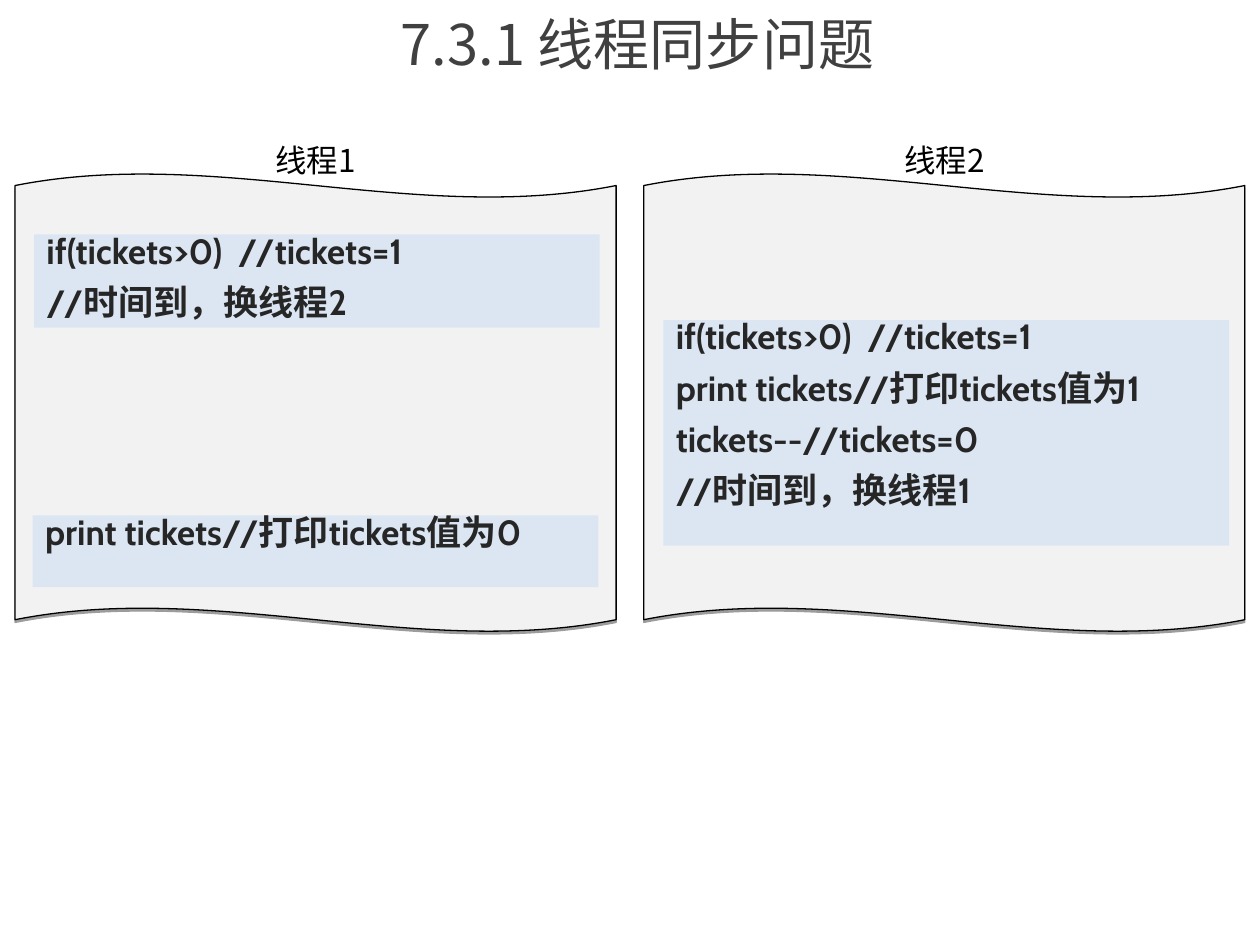
from dataclasses import dataclass

from lxml import etree
from pptx import Presentation
from pptx.dml.color import RGBColor
from pptx.enum.shapes import MSO_SHAPE
from pptx.enum.text import MSO_ANCHOR, PP_ALIGN
from pptx.oxml.ns import qn
from pptx.util import Inches, Pt

WAVE, RECT = MSO_SHAPE.WAVE, MSO_SHAPE.RECTANGLE
LEFT, CENTER = PP_ALIGN.LEFT, PP_ALIGN.CENTER
TOP, MIDDLE = MSO_ANCHOR.TOP, MSO_ANCHOR.MIDDLE
COLS, ROWS = 100, 75


@dataclass(frozen=True)
class Theme:
    title: str = "404040"
    label: str = "000000"
    code: str = "262626"
    panel: str = "F2F2F2"
    block: str = "DCE6F2"
    head_size: int = 32
    label_size: int = 18
    code_size: int = 20
    sans: str = "Noto Sans CJK SC"
    latin: str = "Cabin"


class Deck:
    def __init__(self, theme):
        self.theme = theme
        self.prs = Presentation()
        self.prs.slide_width, self.prs.slide_height = Inches(10), Inches(7.5)
        self.slide = self.prs.slides.add_slide(self.prs.slide_layouts[6])

    def place(self, col, row, wide, high):
        x, y = self.prs.slide_width / COLS, self.prs.slide_height / ROWS
        return [round(n) for n in (col * x, row * y, wide * x, high * y)]

    def shade(self, props, dist, angle, alpha):
        old = props.find(qn("a:effectLst"))
        if old is not None:
            props.remove(old)
        effects = etree.Element(qn("a:effectLst"))
        shadow = etree.SubElement(effects, qn("a:outerShdw"), blurRad="0",
                                  dist=str(Pt(dist)), dir=str(angle * 60000),
                                  algn="tl", rotWithShape="0")
        color = etree.SubElement(shadow, qn("a:srgbClr"), val="000000")
        etree.SubElement(color, qn("a:alpha"), val=str(alpha * 1000))
        font = props.find(qn("a:latin"))
        if font is None:
            props.append(effects)
        else:
            font.addprevious(effects)

    def fill_text(self, frame, lines, size, color, font, align, anchor, bold=False):
        frame.word_wrap = True
        frame.vertical_anchor = anchor
        frame.text = "\n".join(lines)
        for para in frame.paragraphs:
            para.alignment = align
            for run in para.runs:
                run.font.size = Pt(size)
                run.font.bold = bold
                run.font.color.rgb = RGBColor.from_string(color)
                run.font.name = font
                east = etree.Element(qn("a:ea"), typeface=self.theme.sans)
                run._r.get_or_add_rPr().find(qn("a:latin")).addnext(east)

    def text(self, area, words, size, color, anchor):
        frame = self.slide.shapes.add_textbox(*self.place(*area)).text_frame
        self.fill_text(frame, [words], size, color, self.theme.sans, CENTER, anchor)
        return frame

    def title(self, area, words):
        frame = self.text(area, words, self.theme.head_size, self.theme.title, MIDDLE)
        for run in frame.paragraphs[0].runs:
            self.shade(run._r.get_or_add_rPr(), 2, 45, 38)

    def label(self, area, words):
        self.text(area, words, self.theme.label_size, self.theme.label, TOP)

    def shape(self, kind, area, fill):
        shape = self.slide.shapes.add_shape(kind, *self.place(*area))
        shape.shadow.inherit = False
        shape.fill.solid()
        shape.fill.fore_color.rgb = RGBColor.from_string(fill)
        return shape

    def panel(self, area):
        wave = self.shape(WAVE, area, self.theme.panel)
        wave.adjustments[0] = 0.026
        wave.line.color.rgb = RGBColor.from_string(self.theme.label)
        wave.line.width = Pt(0.75)
        self.shade(wave._element.spPr, 1.6, 90, 38)

    def code(self, area, lines):
        block = self.shape(RECT, area, self.theme.block)
        block.line.fill.background()
        self.fill_text(block.text_frame, lines, self.theme.code_size, self.theme.code,
                       self.theme.latin, LEFT, TOP, True)
        for i, para in enumerate(block.text_frame.paragraphs):
            para.line_spacing = 0.7
            para.space_before = Pt(12.5 if i else 0)


def main():
    deck = Deck(Theme())
    deck.title((7.2, 0, 86.8, 6.8), "7.3.1 线程同步问题")
    check = "if(tickets>0)  //tickets=1"
    threads = [
        ("线程1", [
            (1.5, 18.6, 7.4, [check, "//时间到，换线程2"]),
            (1.4, 40.9, 5.7, ["print tickets//打印tickets值为0"]),
        ]),
        ("线程2", [
            (1.55, 25.4, 17.9, [check, "print tickets//打印tickets值为1",
                                "tickets--//tickets=0", "//时间到，换线程1"]),
        ]),
    ]
    for i, (name, blocks) in enumerate(threads):
        left = 1.2 + i * 49.9
        deck.panel((left, 13.78, 47.7, 36.35))
        deck.label((left, 10.7, 47.7, 4), name)
        for inset, row, high, lines in blocks:
            deck.code((left + inset, row, 44.9, high), lines)
    deck.prs.save("out.pptx")


if __name__ == "__main__":
    main()
